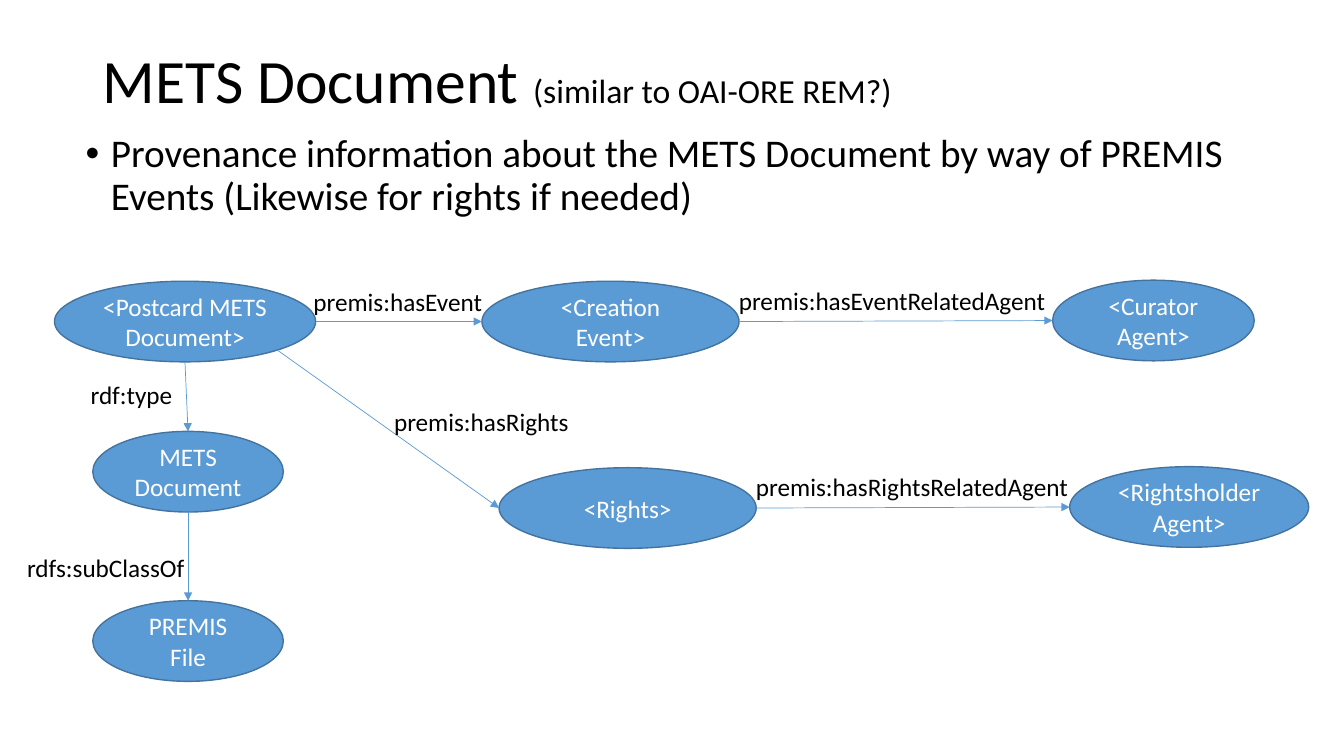
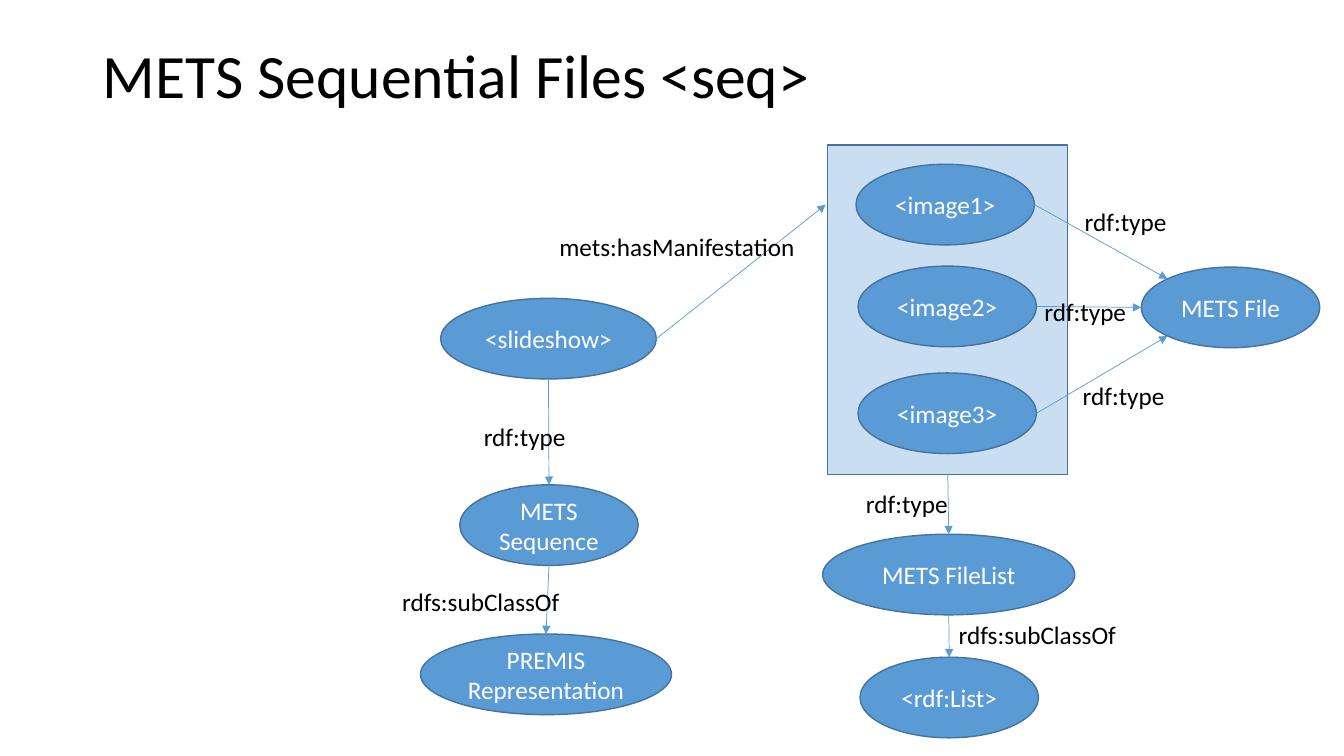
from math import cos, pi, sin

from lxml import etree
from pptx import Presentation
from pptx import util as u
from pptx.dml import color
from pptx.enum import shapes, text
from pptx.oxml import ns

COLORS = {"text": "000000", "node": "5B9BD5", "outline": "43739E", "node_text": "FFFFFF"}
FONT = "Calibri"
NODE_H = 0.8
LABEL_H = 0.4
LABEL_WIDTHS = {
    "rdf:type": 1.02,
    "rdfs:subClassOf": 1.78,
    "premis:hasEvent": 1.89,
    "premis:hasEventRelatedAgent": 3.27,
    "premis:hasRights": 1.95,
    "premis:hasRightsRelatedAgent": 3.33,
    "mets:hasManifestation": 2.56,
}
TOP, LEFT, LOWER_LEFT, BOTTOM, LOWER_RIGHT, RIGHT = 0, 2, 3, 4, 5, 6
UPPER_LEFT = 1


def rgb(name):
    return color.RGBColor.from_string(COLORS[name])


def add_element(parent, tag, **attrs):
    return etree.SubElement(parent, ns.qn(tag), attrs)


def add_text(p, content, size=18, fill="text", align=text.PP_ALIGN.LEFT, spacing=1.0):
    p.alignment = align
    p.line_spacing = spacing
    r = p.add_run()
    r.text = content
    r.font.name = FONT
    r.font.size = u.Pt(size)
    r.font.color.rgb = rgb(fill)


def place(sp, x, y, w, h):
    sp.left, sp.top, sp.width, sp.height = map(u.Inches, (x, y, w, h))


def set_title(slide, y, h, content, note=None):
    sp = slide.shapes.title
    place(sp, 0.92, y, 11.5, h)
    tf = sp.text_frame
    tf.auto_size = text.MSO_AUTO_SIZE.NONE
    tf.vertical_anchor = text.MSO_ANCHOR.MIDDLE
    p = tf.paragraphs[0]
    add_text(p, content, size=44, spacing=0.9)
    if note:
        add_text(p, note, size=24, spacing=0.9)


def set_bullet(slide, content):
    sp = slide.placeholders[1]
    place(sp, 0.75, 1.28, 11.5, 1.52)
    sp.text_frame.auto_size = text.MSO_AUTO_SIZE.NONE
    p = sp.text_frame.paragraphs[0]
    pPr = p._p.get_or_add_pPr()
    indent = u.Inches(0.25)
    pPr.set("marL", str(indent))
    pPr.set("indent", str(-indent))
    add_element(pPr, "a:buFont", typeface="Arial")
    add_element(pPr, "a:buChar", char="•")
    p.space_before = u.Pt(0)
    add_text(p, content, size=28, spacing=0.9)


def add_box(slide, kind, x, y, w, h):
    sp = slide.shapes.add_shape(kind, *map(u.Inches, (x, y, w, h)))
    sp.shadow.inherit = False
    sp.fill.solid()
    sp.fill.fore_color.rgb = rgb("node")
    sp.line.color.rgb = rgb("outline")
    sp.line.width = u.Pt(1)
    return sp


def add_node(slide, content, x, y, w):
    sp = add_box(slide, shapes.MSO_SHAPE.OVAL, x, y, w, NODE_H)
    tf = sp.text_frame
    tf.word_wrap = True
    tf.vertical_anchor = text.MSO_ANCHOR.MIDDLE
    add_text(tf.paragraphs[0], content, fill="node_text", align=text.PP_ALIGN.CENTER)
    return sp


def add_file_list(slide, x, y, w, h):
    sp = add_box(slide, shapes.MSO_SHAPE.RECTANGLE, x, y, w, h)
    fill = sp._element.spPr.find(ns.qn("a:solidFill"))
    add_element(fill[0], "a:alpha", val="32000")
    return sp


def add_label(slide, content, x, y):
    size = (LABEL_WIDTHS[content], LABEL_H)
    sp = slide.shapes.add_textbox(*map(u.Inches, (x, y, *size)))
    tf = sp.text_frame
    tf.word_wrap = False
    tf.auto_size = text.MSO_AUTO_SIZE.SHAPE_TO_FIT_TEXT
    add_text(tf.paragraphs[0], content)


def site_point(sp, site):
    angle = site * pi / 4
    x = sp.left + sp.width / 2 * (1 - sin(angle))
    y = sp.top + sp.height / 2 * (1 - cos(angle))
    return u.Emu(round(x)), u.Emu(round(y))


def add_arrow(slide, start, start_site, end, end_site=None):
    begin = site_point(start, start_site)
    finish = tuple(map(u.Inches, end)) if end_site is None else site_point(end, end_site)
    line = slide.shapes.add_connector(shapes.MSO_CONNECTOR.STRAIGHT, *begin, *finish)
    line.line.color.rgb = rgb("node")
    line.line.width = u.Pt(0.5)
    add_element(line.line._get_or_add_ln(), "a:tailEnd", type="triangle")
    add_element(line._element.spPr, "a:effectLst")
    ends = [("a:stCxn", start, start_site)]
    if end_site is not None:
        ends.append(("a:endCxn", end, end_site))
    for tag, sp, site in ends:
        is_oval = sp.auto_shape_type == shapes.MSO_SHAPE.OVAL
        add_element(line._element.nvCxnSpPr.cNvCxnSpPr, tag,
                    id=str(sp.shape_id), idx=str(site if is_oval else site // 2))


def add_graph(slide, nodes, arrows, labels):
    for start, start_site, end, end_site in arrows:
        add_arrow(slide, nodes[start], start_site, nodes[end], end_site)
    for label in labels:
        add_label(slide, *label)


def build_document_slide(prs):
    slide = prs.slides.add_slide(prs.slide_layouts[1])
    set_title(slide, 0.4, 0.85, "METS Document ", "(similar to OAI-ORE REM?)")
    set_bullet(slide, "Provenance information about the METS Document by way of "
                      "PREMIS Events (Likewise for rights if needed)")
    nodes = {
        name: add_node(slide, *spec_row) for name, spec_row in {
            "postcard": ("<Postcard METS Document>", 0.54, 2.79, 2.59),
            "event": ("<Creation Event>", 4.78, 2.79, 2.55),
            "curator": ("<Curator Agent>", 10.44, 2.78, 2),
            "document": ("METS Document", 0.92, 4.28, 1.89),
            "file": ("PREMIS File", 0.92, 5.96, 1.89),
            "rights": ("<Rights>", 4.95, 4.64, 2.55),
            "holder": ("<Rightsholder Agent>", 10.61, 4.63, 2.37),
        }.items()
    }
    arrows = [
        ("postcard", RIGHT, "event", LEFT),
        ("event", RIGHT, "curator", LEFT),
        ("postcard", BOTTOM, "document", TOP),
        ("document", BOTTOM, "file", TOP),
        ("postcard", LOWER_RIGHT, "rights", LEFT),
        ("rights", RIGHT, "holder", LEFT),
    ]
    labels = [
        ("premis:hasEvent", 3.01, 2.79),
        ("premis:hasEventRelatedAgent", 7.23, 2.78),
        ("rdf:type", 0.8, 3.71),
        ("rdfs:subClassOf", 0.17, 5.43),
        ("premis:hasRights", 3.81, 3.98),
        ("premis:hasRightsRelatedAgent", 7.4, 4.63),
    ]
    add_graph(slide, nodes, arrows, labels)


def build_sequence_slide(prs):
    slide = prs.slides.add_slide(prs.slide_layouts[5])
    set_title(slide, 0.11, 1.33, "METS Sequential Files <seq>")
    nodes = {"files": add_file_list(slide, 8.21, 1.44, 2.38, 3.27)}
    nodes.update({
        name: add_node(slide, *spec_row) for name, spec_row in {
            "slideshow": ("<slideshow>", 4.37, 2.96, 2.14),
            "image1": ("<image1>", 8.49, 1.63, 1.77),
            "image2": ("<image2>", 8.51, 2.64, 1.77),
            "image3": ("<image3>", 8.51, 3.7, 1.77),
            "file": ("METS File", 11.32, 2.65, 1.77),
            "sequence": ("METS Sequence", 4.56, 4.81, 1.77),
            "representation": ("PREMIS Representation", 4.17, 6.29, 2.49),
            "file_list": ("METS FileList", 8.16, 5.3, 2.5),
            "rdf_list": ("<rdf:List>", 8.53, 6.52, 1.77),
        }.items()
    })
    add_arrow(slide, nodes["slideshow"], RIGHT, (8.19, 2.03))
    arrows = [
        ("image1", RIGHT, "file", UPPER_LEFT),
        ("image2", RIGHT, "file", LEFT),
        ("image3", RIGHT, "file", LOWER_LEFT),
        ("slideshow", BOTTOM, "sequence", TOP),
        ("sequence", BOTTOM, "representation", TOP),
        ("files", BOTTOM, "file_list", TOP),
        ("file_list", BOTTOM, "rdf_list", TOP),
    ]
    labels = [
        ("mets:hasManifestation", 5.45, 2.25),
        ("rdf:type", 10.66, 2),
        ("rdf:type", 10.26, 2.89),
        ("rdf:type", 10.64, 3.72),
        ("rdf:type", 4.7, 4.13),
        ("rdfs:subClassOf", 3.89, 5.77),
        ("rdf:type", 8.49, 4.8),
        ("rdfs:subClassOf", 9.41, 6.09),
    ]
    add_graph(slide, nodes, arrows, labels)


def main():
    prs = Presentation()
    prs.slide_width = u.Inches(13.33)
    prs.slide_height = u.Inches(7.5)
    build_document_slide(prs)
    build_sequence_slide(prs)
    prs.save("out.pptx")


if __name__ == "__main__":
    main()
